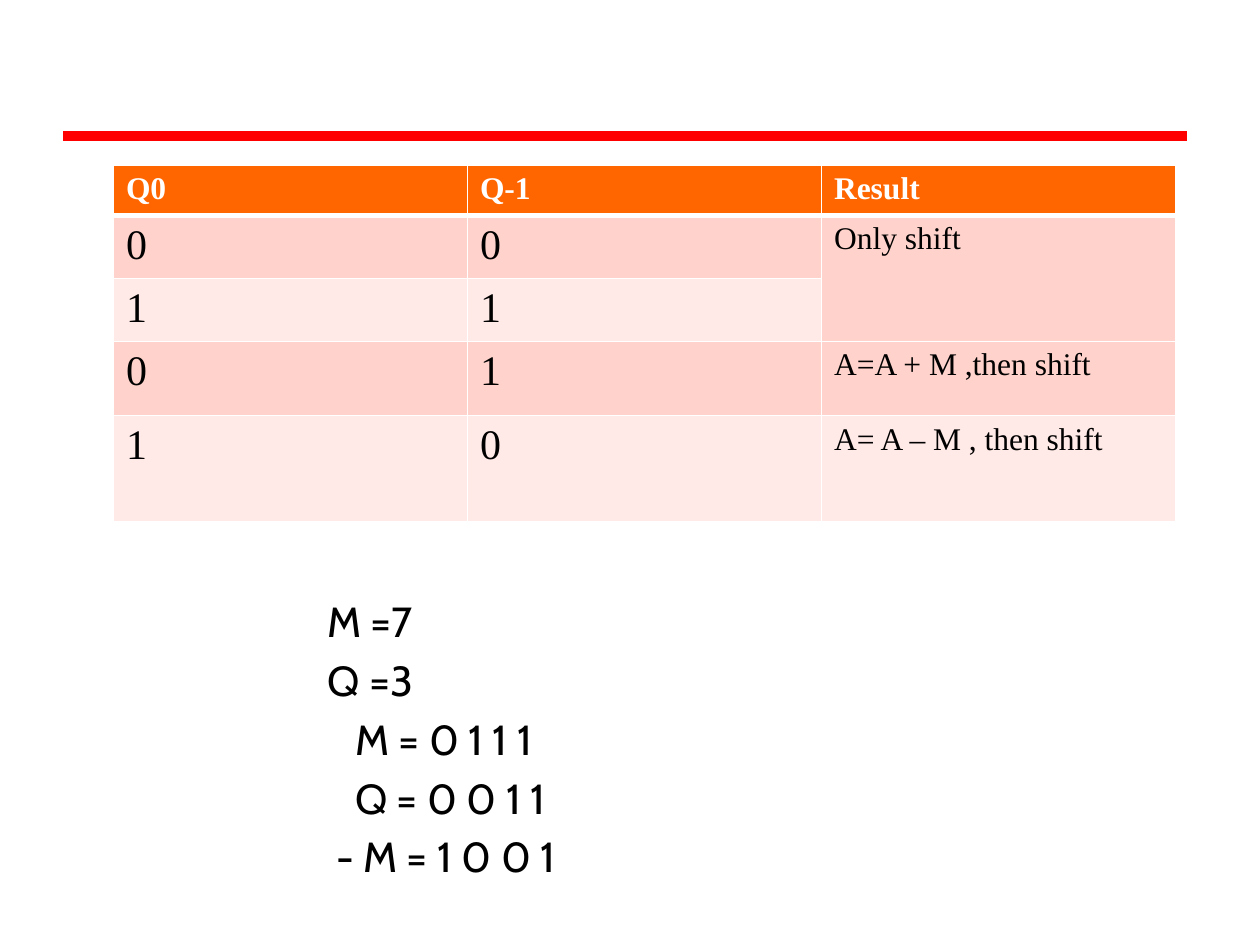
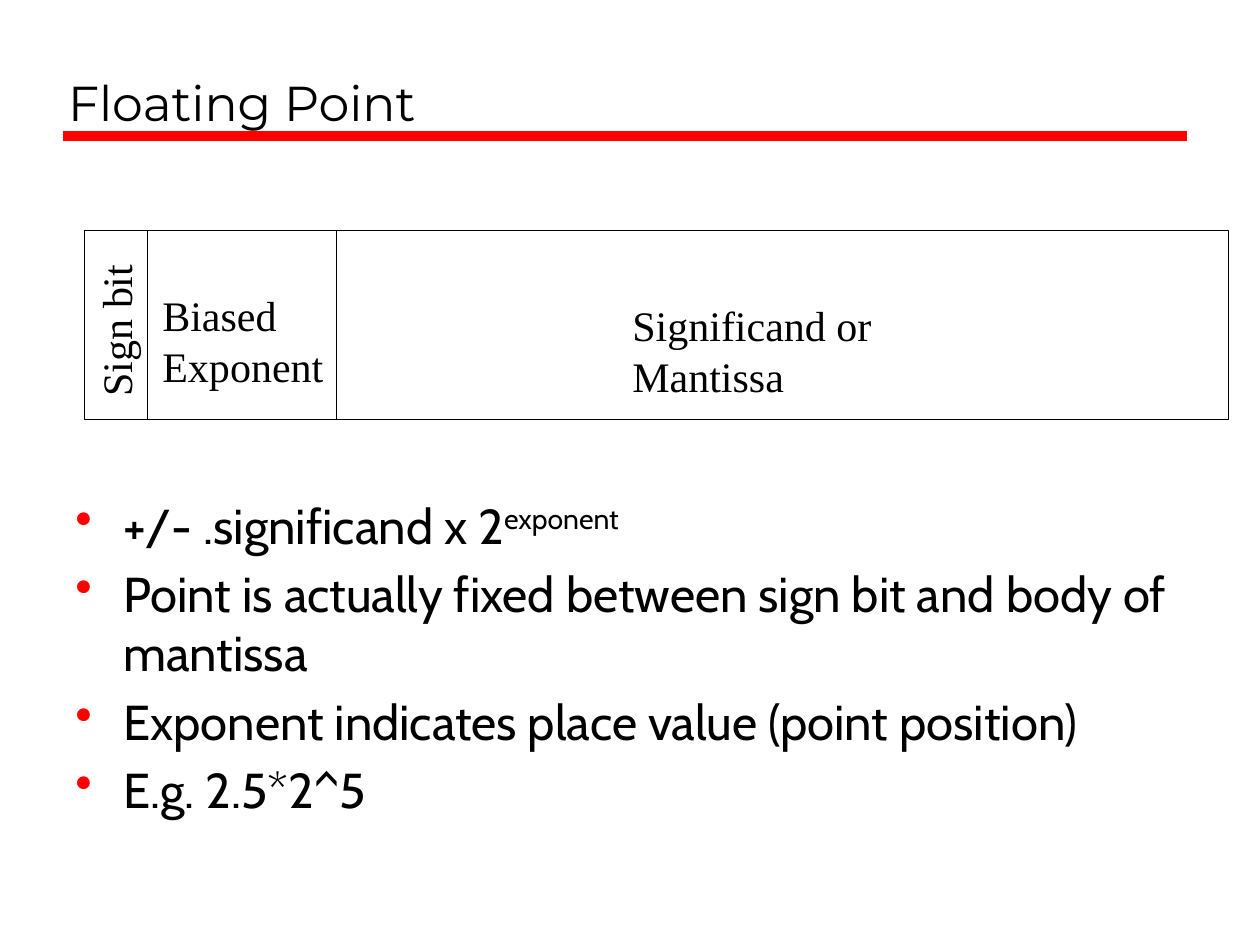
from lxml import etree
from pptx import Presentation
from pptx.dml.color import RGBColor
from pptx.enum.shapes import MSO_CONNECTOR, MSO_SHAPE
from pptx.enum.text import MSO_ANCHOR, MSO_AUTO_SIZE, PP_ALIGN
from pptx.oxml.ns import qn
from pptx.util import Inches, Pt

STRAIGHT, RECTANGLE = MSO_CONNECTOR.STRAIGHT, MSO_SHAPE.RECTANGLE
BOTTOM, TOP, LEFT = MSO_ANCHOR.BOTTOM, MSO_ANCHOR.TOP, PP_ALIGN.LEFT
NO_AUTOFIT = MSO_AUTO_SIZE.NONE
TITLE_ONLY, BLANK = 5, 6

COLORS = {"rule": "FF0000", "text": "000000", "white": "FFFFFF",
          "header": "FF6600", "dark band": "FFD3CC", "light band": "FFEAE7"}
TITLE_FONT, BODY_FONT, FIGURE_FONT = "Montserrat", "Cabin", "Times New Roman"

# Slide 1: Booth's decision table and the example operands
DECISIONS = [
    ("Q0", "Q-1", "Result"),
    ("0", "0", "Only shift"),
    ("1", "1", ""),
    ("0", "1", "A=A + M ,then shift"),
    ("1", "0", "A= A – M , then shift"),
]
ROW_HEIGHTS = [0.4, 0.5, 0.5, 0.59, 0.84]
COLUMN_WIDTH = 2.81
OPERANDS = [  # text, indent
    ("M =7", 0), ("Q =3", 0), ("M = 0 1 1 1", 0.22),
    ("Q = 0 0 1 1", 0.22), ("- M = 1 0 0 1", 0.07),
]

# Slide 2: floating-point word and its explanation
TITLE = "Floating Point"
FIELD_LEFT, FIELD_TOP, FIELD_HEIGHT = 0.67, 1.83, 1.5
FIELDS = [  # width, label lines, label box, rotation
    (0.5, ["Sign bit"], (0.29, 2.37, 1.25, 0.5), 270),
    (1.5, ["Biased", "Exponent"], (1.19, 2.25, 1.48, 0.9), 0),
    (7.08, ["Significand or Mantissa"], (4.92, 2.33, 3.38, 0.5), 0),
]
POINTS = [  # text, superscript
    ("+/- .significand x 2", "exponent"),
    ("Point is actually fixed between sign bit and body of mantissa", ""),
    ("Exponent indicates place value (point position)", ""),
    ("E.g. 2.5*2^5", ""),
]


def rgb(name):
    return RGBColor.from_string(COLORS[name])


def set_font(paragraph, name, size, color="text", bold=False):
    font = paragraph.font
    font.name, font.size, font.bold = name, Pt(size), bold
    font.color.rgb = rgb(color)


def add_color(parent, tag, name):
    holder = etree.SubElement(parent, qn(tag))
    etree.SubElement(holder, qn("a:srgbClr"), val=COLORS[name])


def add_text_box(slide, box, wrap=True):
    text_box = slide.shapes.add_textbox(*map(Inches, box))
    text_box.text_frame.word_wrap = wrap
    return text_box


def paragraphs(frame, items):
    """Yield a paragraph of the frame for each item."""
    for i, item in enumerate(items):
        yield (frame.add_paragraph() if i else frame.paragraphs[0]), item


def add_slide(deck, layout, title=None):
    slide = deck.slides.add_slide(deck.slide_layouts[layout])
    rule = slide.shapes.add_connector(
        STRAIGHT, Inches(0.5), Inches(1.08), Inches(9.42), Inches(1.08))
    rule.line.color.rgb, rule.line.width = rgb("rule"), Pt(6)
    etree.SubElement(rule._element.spPr, qn("a:effectLst"))
    if title:
        heading = slide.shapes.title
        heading.left, heading.top = Inches(0.44), Inches(0.17)
        heading.width, heading.height = Inches(8.97), Inches(0.92)
        frame = heading.text_frame
        frame.text, frame.vertical_anchor = title, BOTTOM
        frame.auto_size = NO_AUTOFIT
        frame.paragraphs[0].alignment = LEFT
        set_font(frame.paragraphs[0], TITLE_FONT, 28)
    return slide


def set_borders(cell, header):
    properties = cell._tc.get_or_add_tcPr()
    for i, side in enumerate(("a:lnL", "a:lnR", "a:lnT", "a:lnB")):
        thick = header and side == "a:lnB"
        border = etree.Element(qn(side), w=str(Pt(3 if thick else 1)))
        add_color(border, "a:solidFill", "white")
        properties.insert(i, border)


def add_decision_table(slide):
    columns = len(DECISIONS[0])
    table = slide.shapes.add_table(
        len(DECISIONS), columns, Inches(0.9), Inches(1.31),
        Inches(columns * COLUMN_WIDTH), Inches(sum(ROW_HEIGHTS))).table
    for column in table.columns:
        column.width = Inches(COLUMN_WIDTH)
    for r, values in enumerate(DECISIONS):
        table.rows[r].height = Inches(ROW_HEIGHTS[r])
        header = r == 0
        band = "header" if header else "dark band" if r % 2 else "light band"
        for c, value in enumerate(values):
            cell = table.cell(r, c)
            cell.text, cell.vertical_anchor = value, TOP
            cell.fill.solid()
            cell.fill.fore_color.rgb = rgb(band)
            set_borders(cell, header)
            size = 18 if header or c == columns - 1 else 24
            set_font(cell.text_frame.paragraphs[0], FIGURE_FONT, size,
                     "white" if header else "text", header)
    table.cell(1, 2).merge(table.cell(2, 2))


def add_operands(slide):
    frame = add_text_box(slide, (2.5, 4.68, 6.9, 2.5)).text_frame
    for paragraph, (text, indent) in paragraphs(frame, OPERANDS):
        paragraph.text = text
        paragraph._p.get_or_add_pPr().set("marL", str(Inches(indent)))
        if text != OPERANDS[0][0]:
            paragraph.space_before = Pt(4.8)
        set_font(paragraph, BODY_FONT, 24)


def add_number_fields(slide):
    left = FIELD_LEFT
    for width, lines, label_box, rotation in FIELDS:
        field = slide.shapes.add_shape(
            RECTANGLE, Inches(left), Inches(FIELD_TOP),
            Inches(width), Inches(FIELD_HEIGHT))
        field.shadow.inherit = False
        field.fill.background()
        field.line.color.rgb, field.line.width = rgb("text"), Pt(0.75)
        label = add_text_box(slide, label_box, wrap=False)
        label.rotation = rotation
        for paragraph, line in paragraphs(label.text_frame, lines):
            paragraph.text = line
            set_font(paragraph, FIGURE_FONT, 24)
        left += width


def add_points(slide):
    frame = add_text_box(slide, (0.5, 3.88, 8.94, 2.87)).text_frame
    for paragraph, (text, superscript) in paragraphs(frame, POINTS):
        paragraph.add_run().text = text
        if superscript:
            raised = paragraph.add_run()
            raised.text = superscript
            raised._r.get_or_add_rPr().set("baseline", "30000")
        properties = paragraph._p.get_or_add_pPr()
        properties.set("marL", str(Inches(0.38)))
        properties.set("indent", str(Inches(-0.38)))
        add_color(properties, "a:buClr", "rule")
        etree.SubElement(properties, qn("a:buChar"), char="•")
        if text != POINTS[0][0]:
            paragraph.space_before = Pt(5.6)
        set_font(paragraph, BODY_FONT, 28)


def main():
    deck = Presentation()
    deck.slide_width, deck.slide_height = Inches(10), Inches(7.5)

    booth = add_slide(deck, BLANK)
    add_decision_table(booth)
    add_operands(booth)

    floating_point = add_slide(deck, TITLE_ONLY, TITLE)
    add_number_fields(floating_point)
    add_points(floating_point)

    deck.save("out.pptx")


if __name__ == "__main__":
    main()
